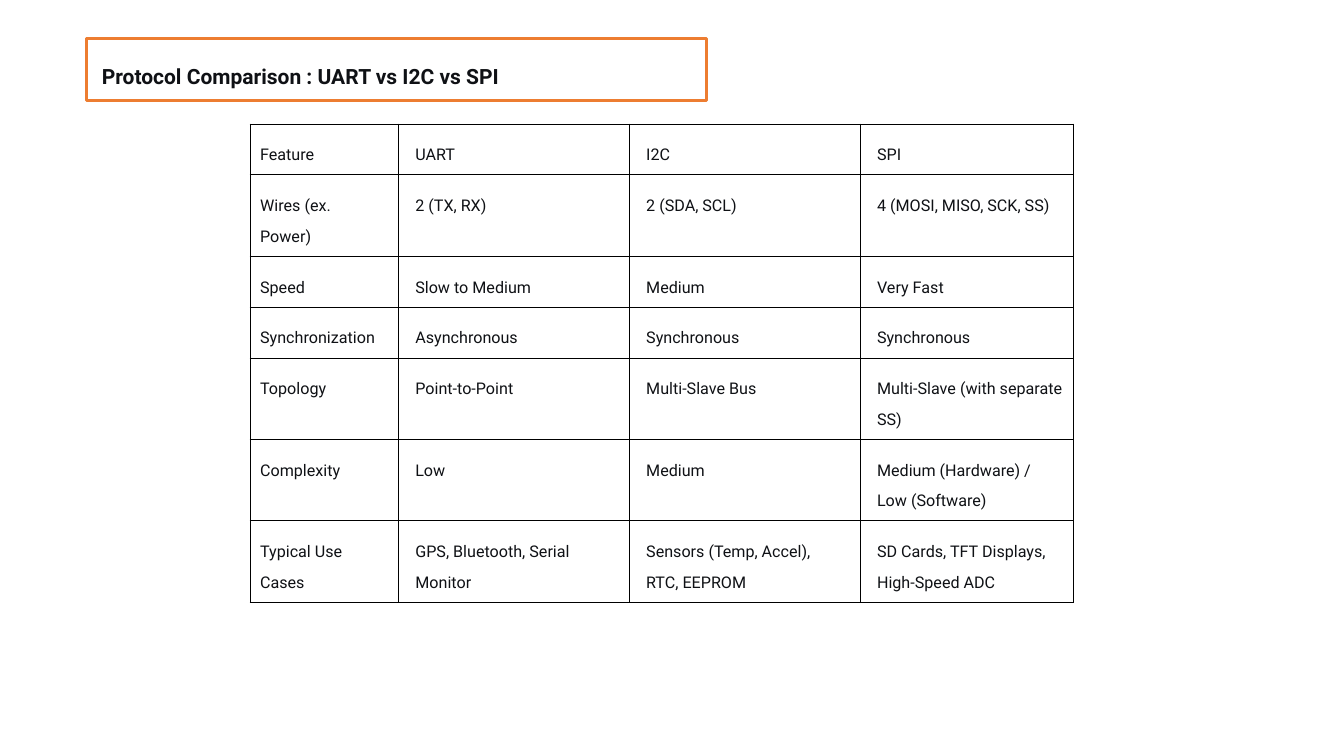
from lxml import etree
from pptx import Presentation
from pptx.dml.color import RGBColor
from pptx.enum import text
from pptx.oxml import ns
from pptx.util import Inches, Pt

COLORS = {"ink": "0F1115", "paper": "FFFFFF", "accent": "ED7D31", "grid": "000000"}
FONT = "Roboto"
TITLE = "Protocol Comparison : UART vs I2C vs SPI"
COLUMN_WIDTHS = [1.47, 2.29, 2.29, 2.12]
ROW_HEIGHTS = [0.47, 0.48, 0.48, 0.48, 0.74, 0.74, 0.74]
ROWS = [
    ["Feature", "UART", "I2C", "SPI"],
    ["Wires (ex. Power)", "2 (TX, RX)", "2 (SDA, SCL)", "4 (MOSI, MISO, SCK, SS)"],
    ["Speed", "Slow to Medium", "Medium", "Very Fast"],
    ["Synchronization", "Asynchronous", "Synchronous", "Synchronous"],
    ["Topology", "Point-to-Point", "Multi-Slave Bus", "Multi-Slave (with separate SS)"],
    ["Complexity", "Low", "Medium", "Medium (Hardware) / Low (Software)"],
    ["Typical Use Cases", "GPS, Bluetooth, Serial Monitor",
     "Sensors (Temp, Accel), RTC, EEPROM", "SD Cards, TFT Displays, High-Speed ADC"],
]


def color(name):
    return RGBColor.from_string(COLORS[name])


def write(frame, content, size, spacing, bold=False):
    paragraph = frame.paragraphs[0]
    paragraph.alignment = text.PP_ALIGN.LEFT
    paragraph.line_spacing = spacing
    run = paragraph.add_run()
    run.text = content
    run.font.name = FONT
    run.font.size = Pt(size)
    run.font.bold = bold
    run.font.color.rgb = color("ink")


def add_borders(cell, width):
    properties = cell._tc.get_or_add_tcPr()
    for side in ("a:lnL", "a:lnR", "a:lnT", "a:lnB"):
        line = etree.SubElement(properties, ns.qn(side), w=str(Pt(width)))
        fill = etree.SubElement(line, ns.qn("a:solidFill"))
        etree.SubElement(fill, ns.qn("a:srgbClr"), val=COLORS["grid"])


def build_title(slide, left, top, width, height):
    title = slide.shapes.title
    title.left, title.top = Inches(left), Inches(top)
    title.width, title.height = Inches(width), Inches(height)
    title.fill.solid()
    title.fill.fore_color.rgb = color("paper")
    title.line.color.rgb = color("accent")
    title.line.width = Pt(2)
    frame = title.text_frame
    frame.auto_size = text.MSO_AUTO_SIZE.NONE
    frame.word_wrap = True
    frame.vertical_anchor = text.MSO_ANCHOR.MIDDLE
    frame.margin_left = Inches(0.15)
    write(frame, TITLE, size=15, spacing=1.5, bold=True)


def build_table(slide, left, top):
    table = slide.shapes.add_table(
        len(ROWS), len(COLUMN_WIDTHS), Inches(left), Inches(top),
        Inches(sum(COLUMN_WIDTHS)), Inches(sum(ROW_HEIGHTS))).table
    table.first_row = False
    table.horz_banding = False
    for column, width in zip(table.columns, COLUMN_WIDTHS):
        column.width = Inches(width)
    last = len(COLUMN_WIDTHS) - 1
    for row, height, entries in zip(table.rows, ROW_HEIGHTS, ROWS):
        row.height = Inches(height)
        for index, (cell, entry) in enumerate(zip(row.cells, entries)):
            cell.margin_left = Inches(0.1 if index == 0 else 0.17)
            cell.margin_right = Inches(0.1 if index == last else 0.17)
            cell.margin_top = cell.margin_bottom = Inches(0.1)
            add_borders(cell, width=0.75)
            cell.fill.solid()
            cell.fill.fore_color.rgb = color("paper")
            write(cell.text_frame, entry, size=11.5, spacing=1.63)


def main():
    presentation = Presentation()
    presentation.slide_width, presentation.slide_height = Inches(13.33), Inches(7.5)
    slide = presentation.slides.add_slide(presentation.slide_layouts[5])
    build_title(slide, 0.86, 0.38, 6.15, 0.62)
    build_table(slide, 2.48, 1.23)
    presentation.save("out.pptx")


if __name__ == "__main__":
    main()
